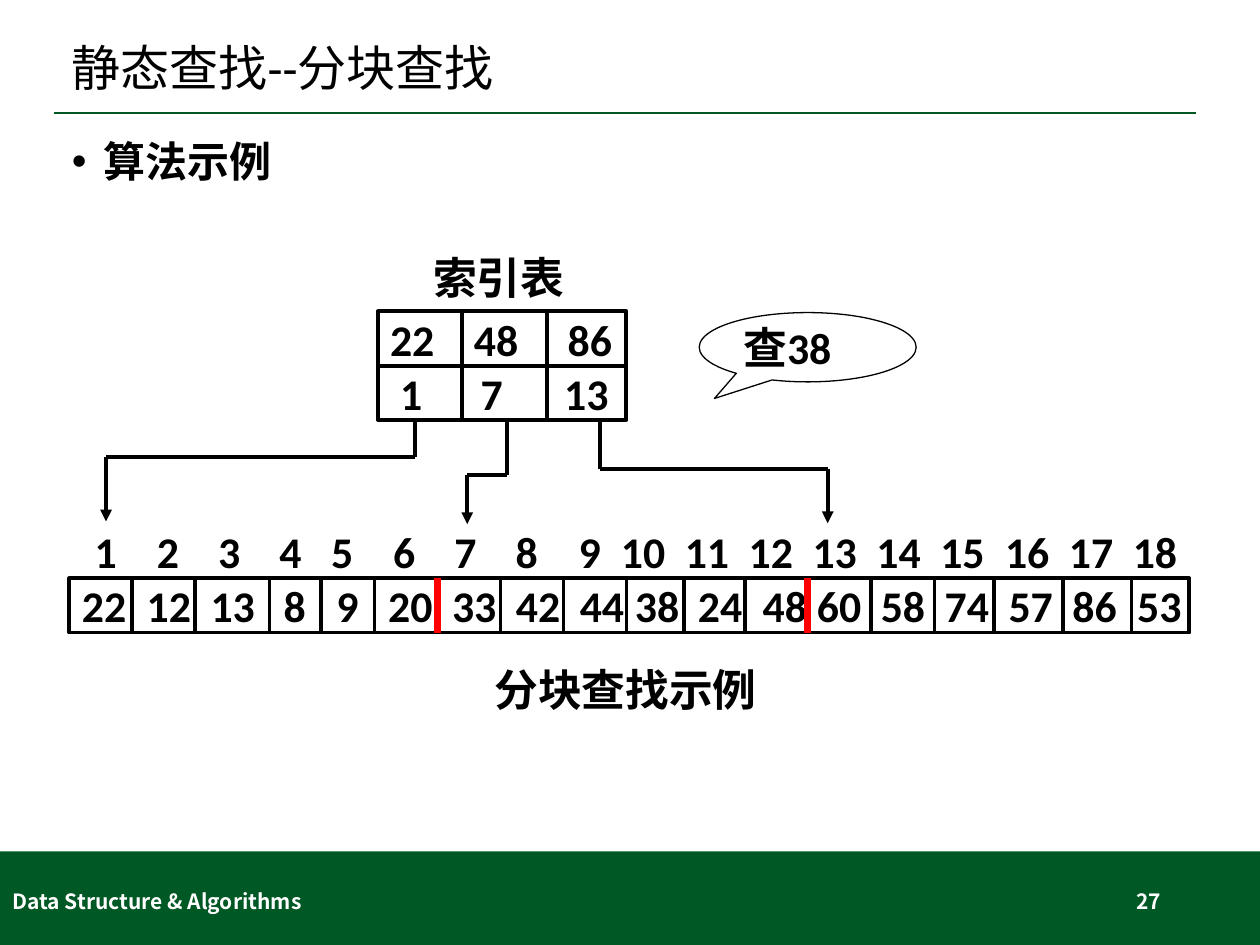
from dataclasses import dataclass

from lxml.etree import SubElement
from pptx import Presentation
from pptx.dml.color import RGBColor
from pptx.enum.shapes import MSO_CONNECTOR as Link, MSO_SHAPE as Preset
from pptx.enum.text import MSO_ANCHOR as Anchor, PP_ALIGN as Align
from pptx.oxml.ns import qn
from pptx.slide import Slide
from pptx.util import Pt

BLACK = RGBColor(0x00, 0x00, 0x00)
WHITE = RGBColor(0xFF, 0xFF, 0xFF)
GREEN = RGBColor(0x00, 0x58, 0x25)
RED = RGBColor(0xFF, 0x00, 0x00)
HAN = "Noto Sans CJK SC"


def write(frame, text, size=25, font="Calibri", color=BLACK, bold=True, align=Align.LEFT,
          anchor=Anchor.MIDDLE, wrap=False, spacing=None, bullet=None, stops=(), inset=7.2):
    frame.word_wrap = wrap
    frame.vertical_anchor = anchor
    frame.margin_left = frame.margin_right = Pt(inset)
    frame.margin_top = frame.margin_bottom = Pt(inset / 2)
    paragraph = frame.paragraphs[0]
    paragraph.alignment = align
    if spacing:
        paragraph.line_spacing = spacing
    props = paragraph._p.get_or_add_pPr()
    if bullet:
        props.set("marL", str(Pt(18)))
        props.set("indent", str(Pt(-18)))
        SubElement(props, qn("a:buFont"), typeface="Arial")
        SubElement(props, qn("a:buChar"), char=bullet)
    if stops:
        tabs = SubElement(props, qn("a:tabLst"))
        for stop in stops:
            SubElement(tabs, qn("a:tab"), pos=str(Pt(stop)), algn="ctr")
    run = paragraph.add_run()
    run.text = text
    run.font.size, run.font.name, run.font.bold = Pt(size), font, bold
    run.font.color.rgb = color
    SubElement(run._r.get_or_add_rPr(), qn("a:ea"), typeface=HAN)


@dataclass
class Board:
    """Draws styled elements on one slide, with lengths in points."""

    slide: Slide
    ink: RGBColor = BLACK
    stroke: float = 2.25

    def text(self, box, words, **style):
        label = self.slide.shapes.add_textbox(*map(Pt, box))
        write(label.text_frame, words, **style)

    def shape(self, preset, box, fill=None, stroke=None):
        figure = self.slide.shapes.add_shape(preset, *map(Pt, box))
        figure.shadow.inherit = False
        if fill is None:
            figure.fill.background()
            figure.line.color.rgb = self.ink
            figure.line.width = Pt(stroke or self.stroke)
        else:
            figure.fill.solid()
            figure.fill.fore_color.rgb = fill
            figure.line.fill.background()
        return figure

    def line(self, start, end, color=None, stroke=None, arrow=False):
        link = self.slide.shapes.add_connector(Link.STRAIGHT, *map(Pt, (*start, *end)))
        link.line.color.rgb = color or self.ink
        link.line.width = Pt(stroke or self.stroke)
        if arrow:
            SubElement(link.line._get_or_add_ln(), qn("a:tailEnd"), type="triangle")
        SubElement(link._element.spPr, qn("a:effectLst"))

    def numbers(self, frame, left, values, centers):
        write(frame, "".join(f"\t{value}" for value in values), wrap=True, inset=0,
              stops=[center - left for center in centers])

    def row(self, box, values, centers, dividers, marked=()):
        left, top, _, height = box
        self.numbers(self.shape(Preset.RECTANGLE, box).text_frame, left, values, centers)
        for x in dividers:
            style = {"color": RED, "stroke": 4} if x in marked else {}
            self.line((x, top), (x, top + height), **style)

    def route(self, points):
        for start, end in zip(points, points[1:]):
            self.line(start, end, arrow=end == points[-1])


def main():
    deck = Presentation()
    deck.slide_width, deck.slide_height = Pt(720), Pt(540)
    board = Board(deck.slides.add_slide(deck.slide_layouts[6]))

    board.shape(Preset.RECTANGLE, (0, 486.5, 720, 53.5), fill=GREEN)
    board.line((31, 64.6), (683.5, 64.6), color=GREEN, stroke=1)
    board.text((34, 16.5, 652, 47.5), "静态查找--分块查找", size=28, bold=False, wrap=True, spacing=0.9)
    board.text((34, 77, 652, 399), "算法示例", size=24, anchor=Anchor.TOP, wrap=True,
               spacing=0.9, bullet="•")
    footer = {"size": 12, "font": HAN, "color": WHITE, "wrap": True}
    board.text((0, 500.5, 243, 28.8), "Data Structure & Algorithms", **footer)
    board.text((508.5, 500.5, 162, 28.8), "27", align=Align.RIGHT, **footer)

    board.text((240.5, 139.7, 90.7, 37.4), "索引表", anchor=Anchor.TOP)
    index_rows = [((22, 48, 86), (235.5, 283.5, 337)), ((1, 7, 13), (235, 281, 335))]
    for order, (values, centers) in enumerate(index_rows):
        board.row((216, 178 + 31 * order, 142, 31), values, centers, (264, 312.5))

    query = board.shape(Preset.OVAL_CALLOUT, (399.6, 178.6, 124, 39.6), stroke=0.75)
    query.adjustments[0], query.adjustments[1] = -0.43, 0.74
    write(query.text_frame, "查38")

    for source, bend, target, tip in [(237, 261.4, 60.6, 298), (289.5, 271.5, 267, 299.5),
                                      (342.7, 268, 473, 299)]:
        board.route([(source, 240.5), (source, bend), (target, bend), (target, tip)])

    positions = (60.5, 96, 131, 166, 195.5, 231, 266, 301, 337,
                 367.5, 404, 440.5, 477, 513.5, 550, 587, 623.5, 660)
    labels = board.slide.shapes.add_textbox(*map(Pt, (46.8, 299.5, 637, 31)))
    board.numbers(labels.text_frame, 46.8, range(1, 19), positions)
    records = (22, 12, 13, 8, 9, 20, 33, 42, 44, 38, 24, 48, 60, 58, 74, 57, 86, 53)
    centers = (59.5, 96.5, 133, 168.5, 198.5, 234.5, 271, 307.5, 344,
               375.5, 411.5, 448.5, 479.5, 516, 552.5, 589, 625.5, 662.5)
    dividers = (75.6, 111.6, 154, 183.6, 214, 250, 286, 322, 358,
                391, 425.5, 461.5, 497.5, 534, 568, 607.7, 646.6)
    board.row((39.6, 330.5, 640, 31), records, centers, dividers, marked=(250, 461.5))
    board.text((250, 378, 215, 31.7), "分块查找示例", align=Align.CENTER)

    deck.save("out.pptx")


if __name__ == "__main__":
    main()
